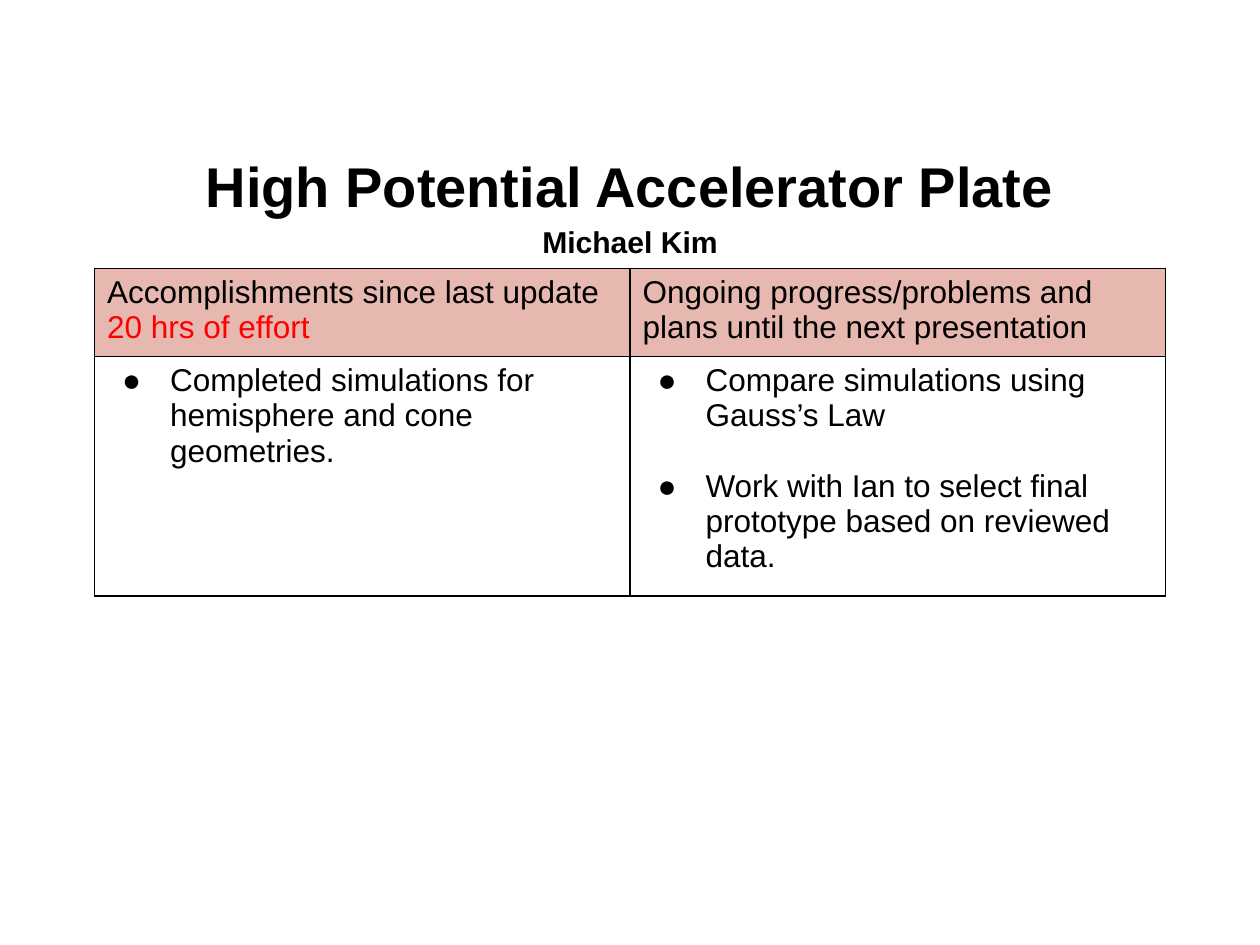
"""Build a project update slide with a title and a two-column status table."""
from dataclasses import dataclass

from lxml.etree import SubElement as Sub
from pptx import Presentation
from pptx.dml.color import RGBColor as RGB
from pptx.enum.text import MSO_ANCHOR as Anchor, PP_ALIGN as Align
from pptx.oxml.ns import qn
from pptx.util import Inches, Pt


@dataclass(frozen=True)
class Theme:
    font: str = "Arial"
    ink: str = "000000"
    alert: str = "FF0000"
    head: str = "E6B8AF"
    title: float = 32
    name: float = 17.2
    body: float = 18
    gap: float = 20
    line: float = 1


theme = Theme()


def add_run(para, text, size, color=theme.ink, bold=False):
    run = para.add_run()
    run.text = text
    font = run.font
    font.name, font.size, font.bold = theme.font, Pt(size), bold
    font.color.rgb = RGB.from_string(color)


def add_edges(cell):
    props = cell._tc.get_or_add_tcPr()
    for side in ("lnL", "lnR", "lnT", "lnB"):
        edge = Sub(props, qn(f"a:{side}"), w=str(Pt(theme.line)))
        fill = Sub(edge, qn("a:solidFill"))
        Sub(fill, qn("a:srgbClr"), val=theme.ink)


deck = Presentation()
deck.slide_width, deck.slide_height = Inches(10), Inches(7.5)
slide = deck.slides.add_slide(deck.slide_layouts[6])

box = slide.shapes.add_textbox(Inches(0.5), Inches(1.15), Inches(9), Inches(0.88))
frame = box.text_frame
frame.word_wrap = True
frame.vertical_anchor = Anchor.MIDDLE
titles = [("High Potential Accelerator Plate", theme.title), ("Michael Kim", theme.name)]
for row, (text, size) in enumerate(titles):
    para = frame.add_paragraph() if row else frame.paragraphs[0]
    para.alignment = Align.CENTER
    para.line_spacing = 1.15
    add_run(para, text, size, bold=True)

heads = [
    [("Accomplishments since last update", theme.ink), ("20 hrs of effort", theme.alert)],
    [("Ongoing progress/problems and plans until the next presentation", theme.ink)],
]
points = [
    [("Completed simulations for hemisphere and cone geometries.", theme.ink)],
    [
        ("Compare simulations using Gauss’s Law", theme.ink),
        ("Work with Ian to select final prototype based on reviewed data.", theme.ink),
    ],
]
table = slide.shapes.add_table(
    2, 2, Inches(0.75), Inches(2.13), Inches(8.5), Inches(2.6)
).table
table.first_row = table.horz_banding = False
for col in table.columns:
    col.width = Inches(4.25)
for row, high in zip(table.rows, (0.7, 1.9)):
    row.height = Inches(high)

for row, group in enumerate((heads, points)):
    for col, lines in enumerate(group):
        cell = table.cell(row, col)
        add_edges(cell)
        if row == 0:
            cell.fill.solid()
            cell.fill.fore_color.rgb = RGB.from_string(theme.head)
        else:
            cell.fill.background()
        frame = cell.text_frame
        for pos, (text, color) in enumerate(lines):
            para = frame.add_paragraph() if pos else frame.paragraphs[0]
            if row:
                para.space_before = Pt(theme.gap if pos else 0)
                props = para._p.get_or_add_pPr()
                props.set("marL", str(Inches(0.5)))
                props.set("indent", str(Inches(-0.38)))
                tint = Sub(props, qn("a:buClr"))
                Sub(tint, qn("a:srgbClr"), val=theme.ink)
                Sub(props, qn("a:buFont"), typeface=theme.font)
                Sub(props, qn("a:buChar"), char="●")
            add_run(para, text, theme.body, color)

deck.save("out.pptx")
